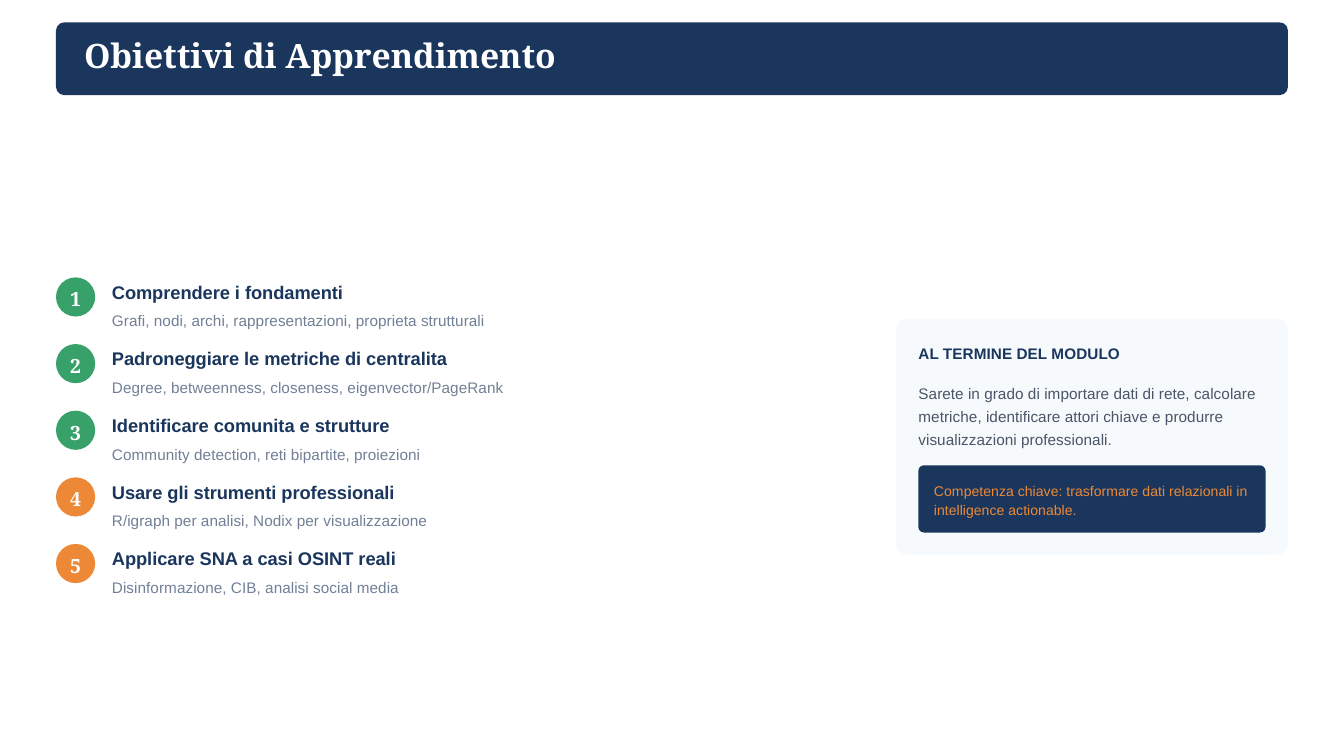
"""Build the learning objectives slide: numbered goals and an outcome panel."""
from pptx import Presentation
from pptx.dml.color import RGBColor
from pptx.enum.shapes import MSO_SHAPE
from pptx.enum.text import MSO_ANCHOR, MSO_AUTO_SIZE, PP_ALIGN
from pptx.util import Pt

ROUND, OVAL = MSO_SHAPE.ROUNDED_RECTANGLE, MSO_SHAPE.OVAL
TOP, MIDDLE = MSO_ANCHOR.TOP, MSO_ANCHOR.MIDDLE
LEFT, CENTER = PP_ALIGN.LEFT, PP_ALIGN.CENTER
NO_FIT = MSO_AUTO_SIZE.NONE
SERIF, SANS = "Noto Serif", "Arial"
NAVY, GREEN, ORANGE = "1A365D", "38A169", "ED8936"
WHITE, PALE, GREY, SLATE = "FFFFFF", "F7FAFC", "718096", "4A5568"

TITLE = "Obiettivi di Apprendimento"
GOALS = [
    ("Comprendere i fondamenti",
     "Grafi, nodi, archi, rappresentazioni, proprieta strutturali", GREEN),
    ("Padroneggiare le metriche di centralita",
     "Degree, betweenness, closeness, eigenvector/PageRank", GREEN),
    ("Identificare comunita e strutture",
     "Community detection, reti bipartite, proiezioni", GREEN),
    ("Usare gli strumenti professionali",
     "R/igraph per analisi, Nodix per visualizzazione", ORANGE),
    ("Applicare SNA a casi OSINT reali",
     "Disinformazione, CIB, analisi social media", ORANGE),
]
PANEL_HEAD = "AL TERMINE DEL MODULO"
PANEL_BODY = ("Sarete in grado di importare dati di rete, calcolare metriche, "
              "identificare attori chiave e produrre visualizzazioni professionali.")
KEY_SKILL = "Competenza chiave: trasformare dati relazionali in intelligence actionable."

W, H = 720, 405
MARGIN = W / 24
HEAD_LINE, DETAIL_LINE, HEAD_GAP, ROW_GAP = 13.65, 11.55, 3, 7.5
PITCH = HEAD_LINE + HEAD_GAP + DETAIL_LINE + ROW_GAP
GOALS_Y, BADGE, GOAL_X, GOAL_W = 148.6, 21, 2 * MARGIN, 413
PANEL_X, PANEL_Y, PAD = W * 2 / 3, 170.9, 12
PANEL_W, PANEL_H = W - MARGIN - PANEL_X, 126.4
INNER_X, INNER_W = PANEL_X + PAD, PANEL_W - 2 * PAD
TEXT_W = INNER_W + 3.5
SKILL_H = 36


def rgb(value):
    return RGBColor.from_string(value)


def write(sp, text, size, color, spacing, font=SANS, bold=False,
          align=LEFT, anchor=TOP, wrap=True, insets=(0, 0)):
    tf = sp.text_frame
    tf.text = text
    tf.auto_size, tf.word_wrap, tf.vertical_anchor = NO_FIT, wrap, anchor
    tf.margin_left, tf.margin_right = (Pt(v) for v in insets)
    tf.margin_top = tf.margin_bottom = 0
    p = tf.paragraphs[0]
    p.alignment, p.line_spacing = align, Pt(spacing)
    p.space_before = Pt(0)
    f = p.runs[0].font
    f.name, f.size, f.bold = font, Pt(size), bold
    f.color.rgb = rgb(color)


def add_box(s, kind, x, y, w, h, fill, radius=0):
    sp = s.shapes.add_shape(kind, *map(Pt, (x, y, w, h)))
    sp.shadow.inherit = False
    sp.fill.solid()
    sp.fill.fore_color.rgb = rgb(fill)
    sp.line.fill.background()
    if radius:
        sp.adjustments[0] = radius / min(w, h)
    return sp


def add_label(s, x, y, w, h, *args, **style):
    write(s.shapes.add_textbox(*map(Pt, (x, y, w, h))), *args, **style)


def add_title(s):
    add_box(s, ROUND, MARGIN, 12, W - 2 * MARGIN, 39, NAVY, 4.5)
    title = s.shapes.title
    title.element.getparent().append(title.element)
    title.left, title.top, title.width, title.height = map(
        Pt, (MARGIN + 15, 22.5, 322, 18))
    write(title, TITLE, 18, WHITE, 18, SERIF, True)


def add_goals(s):
    for i, (head, detail, color) in enumerate(GOALS):
        y = GOALS_Y + i * PITCH
        badge = add_box(s, OVAL, MARGIN, y, BADGE, BADGE, color)
        write(badge, str(i + 1), 10.5, WHITE, 14.7, SERIF, True,
              CENTER, MIDDLE, wrap=False)
        add_label(s, GOAL_X, y, GOAL_W, HEAD_LINE,
                  head, 9.75, NAVY, HEAD_LINE, bold=True)
        add_label(s, GOAL_X, y + HEAD_LINE + HEAD_GAP, GOAL_W, DETAIL_LINE,
                  detail, 8.25, GREY, DETAIL_LINE)


def add_panel(s):
    add_box(s, ROUND, PANEL_X, PANEL_Y, PANEL_W, PANEL_H, PALE, 6)
    y = PANEL_Y + PAD
    add_label(s, INNER_X, y, TEXT_W, DETAIL_LINE,
              PANEL_HEAD, 8.25, NAVY, DETAIL_LINE, bold=True)
    add_label(s, INNER_X, y + DETAIL_LINE + 9, TEXT_W, 37.2,
              PANEL_BODY, 8.25, SLATE, 12.38)
    skill = add_box(s, ROUND, INNER_X, PANEL_Y + PANEL_H - PAD - SKILL_H,
                    INNER_W, SKILL_H, NAVY, 3)
    write(skill, KEY_SKILL, 7.5, ORANGE, 10.5, anchor=MIDDLE, insets=(7.5, 4))


def main():
    prs = Presentation()
    prs.slide_width, prs.slide_height = Pt(W), Pt(H)
    s = prs.slides.add_slide(prs.slide_layouts[5])
    add_title(s)
    add_goals(s)
    add_panel(s)
    prs.save("out.pptx")


if __name__ == "__main__":
    main()
